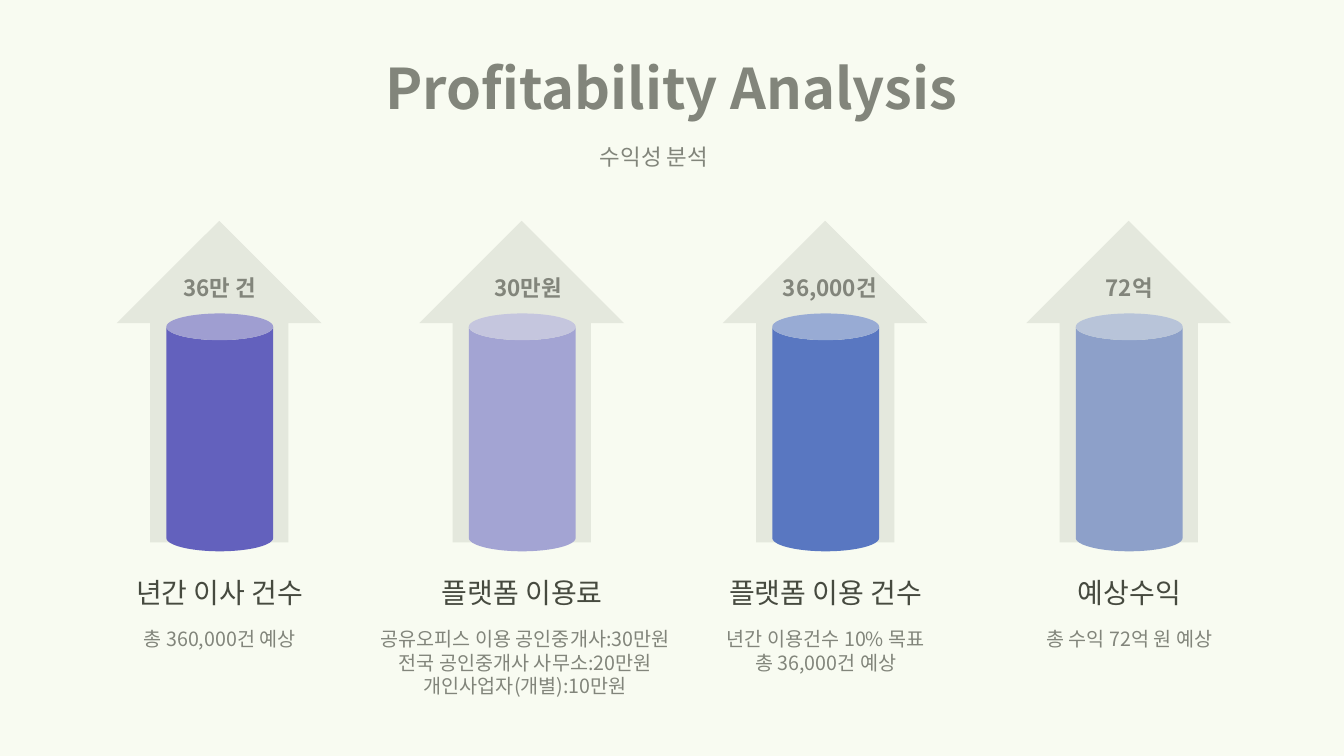
from lxml import etree
from pptx import Presentation
from pptx.dml.color import RGBColor
from pptx.enum.shapes import MSO_SHAPE
from pptx.enum.text import MSO_ANCHOR, MSO_AUTO_SIZE, PP_ALIGN
from pptx.oxml.ns import qn
from pptx.util import Emu, Pt

FONT = "Noto Sans CJK KR"
GREY, DARK, PALE, TINT = "808080", "404040", "EAEAEA", "9FCE3E"
WIDTH, HEIGHT = 1333, 750


def px(n):
    """100 px to the inch."""
    return Emu(n * 9144)


def rgb(color):
    return RGBColor.from_string(color)


class Deck:
    def __init__(self):
        self.prs = Presentation()
        self.prs.slide_width, self.prs.slide_height = px(WIDTH), px(HEIGHT)
        self.s = self.prs.slides.add_slide(self.prs.slide_layouts[5])

    def group(self):
        return self.s.shapes.add_group_shape().shapes

    def fill_text(self, sp, lines, size, color, bold=False):
        tf = sp.text_frame
        tf.word_wrap = True
        tf.auto_size = MSO_AUTO_SIZE.NONE
        tf.text = "\n".join(lines)
        for p in tf.paragraphs:
            p.alignment = PP_ALIGN.CENTER
            for r in p.runs:
                r.font.name, r.font.size, r.font.bold = FONT, Pt(size), bold
                r.font.color.rgb = rgb(color)
                # Hangul takes the East Asian typeface
                etree.SubElement(r.font._element, qn("a:ea"), typeface=FONT)

    def title(self, text, x, y, w, h):
        sp = self.s.shapes.title
        sp.left, sp.top, sp.width, sp.height = map(px, (x, y, w, h))
        self.fill_text(sp, [text], 40, GREY, True)
        sp.text_frame.vertical_anchor = MSO_ANCHOR.MIDDLE

    def text(self, shapes, lines, x, y, w, h, size, color=GREY, bold=False):
        sp = shapes.add_textbox(px(x), px(y), px(w), px(h))
        self.fill_text(sp, lines, size, color, bold)

    def shape(self, shapes, kind, x, y, w, h, color, alpha=None):
        sp = shapes.add_shape(kind, px(x), px(y), px(w), px(h))
        sp.shadow.inherit = False
        sp.line.fill.background()
        sp.fill.solid()
        sp.fill.fore_color.rgb = rgb(color)
        if alpha is not None:
            clr = sp._element.spPr.find(qn("a:solidFill"))[0]
            etree.SubElement(clr, qn("a:alpha"), val=str(alpha * 1000))
        return sp


# value, value shift, can colour, heading, details, details shift, details width
COLUMNS = [
    ("36만 건", 0, "5F59C7", "년간 이사 건수", ["총 360,000건 예상"], 0, 272),
    ("30만원", 6, "A4A1DF", "플랫폼 이용료",
     ["공유오피스 이용 공인중개사:30만원", "전국 공인중개사 사무소:20만원",
      "개인사업자(개별):10만원"], 3, 370),
    ("36,000건", 4, "5471CC", "플랫폼 이용 건수",
     ["년간 이용건수 10% 목표", "총 36,000건 예상"], 0, 272),
    ("72억", 0, "8C9DD4", "예상수익", ["총 수익 72억 원 예상"], 0, 272),
]


def main():
    deck = Deck()
    deck.title("Profitability Analysis", 88, 36, 1156, 100)
    deck.text(deck.s.shapes, ["수익성 분석"], 143, 137, 1011, 41, 16)
    centers = [218 + i * 902 // 3 for i in range(len(COLUMNS))]

    # Arrows with cans and values
    for cx, (value, shift, color, *_) in zip(centers, COLUMNS):
        g = deck.group()
        arrow = deck.shape(g, MSO_SHAPE.UP_ARROW, cx - 102, 219, 203, 319, PALE)
        arrow.adjustments[0], arrow.adjustments[1] = 0.676, 0.5
        deck.shape(g, MSO_SHAPE.CAN, cx - 53, 311, 106, 236, color)
        deck.text(g, [value], cx + shift - 70, 267, 140, 37, 16, bold=True)

    # Captions
    for cx, (*_, heading, details, shift, width) in zip(centers, COLUMNS):
        g = deck.group()
        deck.text(g, [heading], cx - 169, 566, 338, 44, 20, DARK)
        deck.text(g, details, cx + shift - width // 2, 617, width,
                  11 + 23 * len(details), 14)

    # Tint over the whole slide
    deck.shape(deck.s.shapes, MSO_SHAPE.RECTANGLE, 0, 0, WIDTH, HEIGHT, TINT, 7)
    deck.prs.save("out.pptx")


if __name__ == "__main__":
    main()
